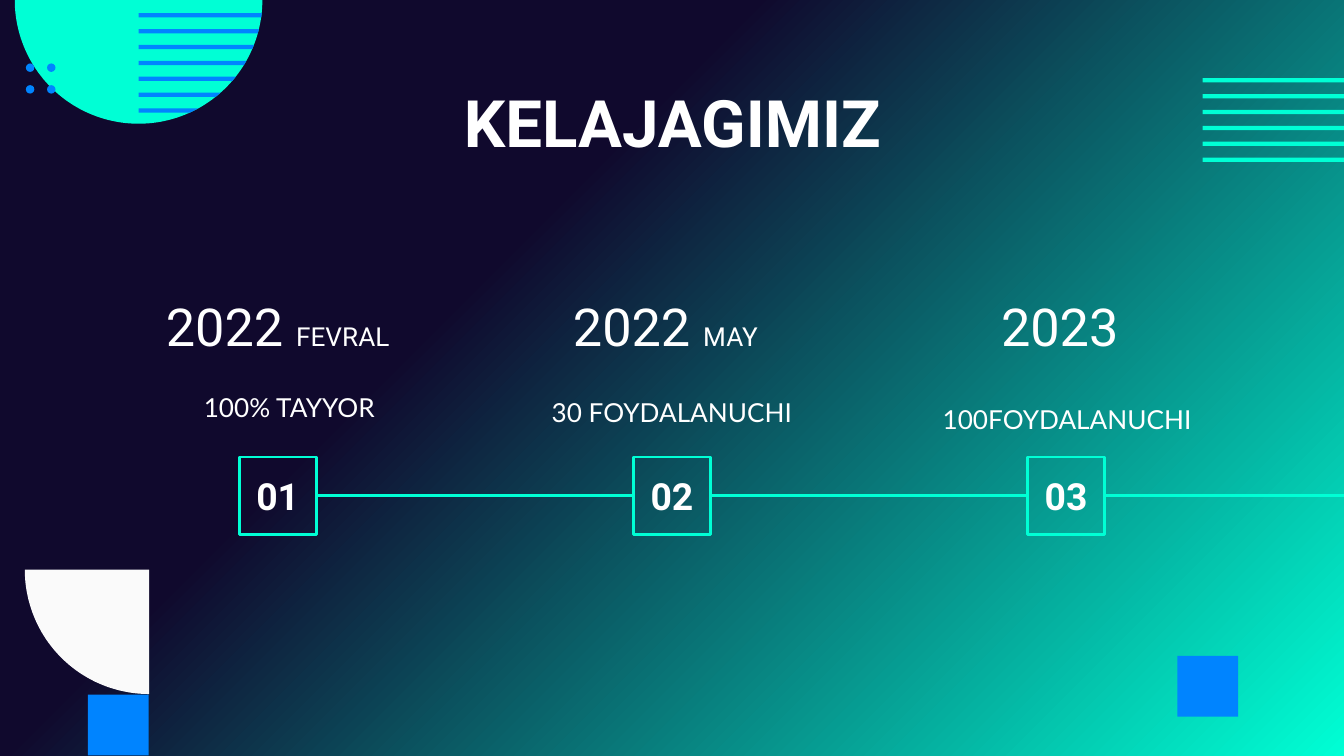
from copy import deepcopy
from dataclasses import dataclass
from math import cos, radians, sin, sqrt

from lxml.etree import SubElement
from pptx import Presentation
from pptx.dml.color import RGBColor
from pptx.enum.shapes import MSO_CONNECTOR, MSO_SHAPE
from pptx.enum.text import MSO_ANCHOR, PP_ALIGN
from pptx.oxml.ns import qn
from pptx.util import Cm, Pt

NAVY, MINT, BLUE = "10092D", "00FFD5", "0084FF"
WHITE, OFF_WHITE = "FFFFFF", "FAFAFA"
INSET = 0.25


@dataclass
class TextRun:
    text: str
    size: int


@dataclass
class Milestone:
    number: str
    date: list[TextRun]
    caption: str
    caption_box: tuple[float, float, float, float]


MILESTONES = [
    Milestone("01", [TextRun("2022 ", 28), TextRun("FEVRAL", 14)],
              "100% TAYYOR", (1.98, 7.14, 6.98, 1.98)),
    Milestone("02", [TextRun("2022 ", 28), TextRun("MAY", 14), TextRun(" ", 28)],
              "30 FOYDALANUCHI", (9.45, 7.24, 6.5, 1.98)),
    Milestone("03", [TextRun("2023 ", 28)],
              "100FOYDALANUCHI", (16.92, 7.37, 6.5, 1.5)),
]


def color(value: str) -> RGBColor:
    return RGBColor.from_string(value)


def paint(shape, fill: str) -> None:
    shape.shadow.inherit = False
    shape.fill.solid()
    shape.fill.fore_color.rgb = color(fill)
    shape.line.fill.background()


def add_solid(slide, kind, left: float, top: float, width: float, height: float, fill: str) -> None:
    paint(slide.shapes.add_shape(kind, Cm(left), Cm(top), Cm(width), Cm(height)), fill)


def add_polygon(slide, points: list[tuple[float, float]], fill: str) -> None:
    corners = [(Cm(x), Cm(y)) for x, y in points]
    builder = slide.shapes.build_freeform(*corners[0])
    builder.add_line_segments(corners[1:], close=True)
    paint(builder.convert_to_shape(), fill)


def add_sector(slide, x: float, y: float, radius: float, start: int, end: int, fill: str) -> None:
    """Draw a circle sector; angles run clockwise from the right."""
    arc = [(x + radius * cos(radians(angle)), y + radius * sin(radians(angle)))
           for angle in range(start, end + 1, 2)]
    add_polygon(slide, [(x, y)] + arc, fill)


def write_text(shape, runs: list[TextRun], font: str, bold: bool = False,
               anchor=MSO_ANCHOR.MIDDLE) -> None:
    frame = shape.text_frame
    frame.word_wrap = True
    frame.vertical_anchor = anchor
    frame.margin_left = frame.margin_right = Cm(INSET)
    frame.margin_top = frame.margin_bottom = Cm(INSET)
    paragraph = frame.paragraphs[0]
    paragraph.alignment = PP_ALIGN.CENTER
    paragraph.font.name = font
    paragraph.font.bold = bold
    paragraph.font.color.rgb = color(WHITE)
    for item in runs:
        run = paragraph.add_run()
        run.text = item.text
        run.font.size = Pt(item.size)


def add_text(slide, box: tuple[float, float, float, float], runs: list[TextRun],
             font: str, bold: bool = False, anchor=MSO_ANCHOR.MIDDLE) -> None:
    text_box = slide.shapes.add_textbox(*(Cm(length) for length in box))
    write_text(text_box, runs, font, bold, anchor)


def add_line(slide, start: float, end: float, y: float) -> None:
    line = slide.shapes.add_connector(MSO_CONNECTOR.STRAIGHT, Cm(start), Cm(y), Cm(end), Cm(y))
    line.line.color.rgb = color(MINT)
    line.line.width = Pt(1.5)
    SubElement(line.element.spPr, qn("a:effectLst"))


def fill_background(slide) -> None:
    fill = slide.background.fill
    fill.gradient()
    fill.gradient_angle = 315
    stop_list = slide.element.find(".//" + qn("a:gsLst"))
    stop_list.insert(1, deepcopy(stop_list[0]))
    for stop, position, value in zip(fill.gradient_stops, (0, 0.36, 1), (NAVY, NAVY, MINT)):
        stop.position = position
        stop.color.rgb = color(value)


def add_decoration(slide) -> None:
    stripe_height, stripe_pitch = 0.08, 0.3

    # Squares and quarter disc
    for left, top in ((22.25, 12.4), (1.66, 13.13)):
        add_solid(slide, MSO_SHAPE.RECTANGLE, left, top, 1.15, 1.15, BLUE)
    add_sector(slide, 2.82, 10.77, 2.35, 90, 180, OFF_WHITE)

    # Stripes at the right edge
    for index in range(6):
        add_solid(slide, MSO_SHAPE.RECTANGLE, 22.73, 1.48 + index * stripe_pitch,
                  6.5, stripe_height, MINT)

    # Half disc with stripes cut along its rim
    center, radius = 2.62, 2.34
    add_sector(slide, center, 0, radius, 0, 180, MINT)
    for index in range(7):
        top = 0.25 + index * stripe_pitch
        bottom = top + stripe_height
        rim_top, rim_bottom = (center + sqrt(radius ** 2 - y ** 2) for y in (top, bottom))
        add_polygon(slide, [(center, top), (rim_top, top),
                            (rim_bottom, bottom), (center, bottom)], BLUE)

    # Dots
    for column in range(2):
        for row in range(2):
            add_solid(slide, MSO_SHAPE.OVAL, 0.49 + column * 0.4, 1.2 + row * 0.41,
                      0.16, 0.16, BLUE)


def add_timeline(slide) -> None:
    first_center, pitch, side, axis = 5.25, 7.45, 1.46, 9.37
    line_end = 25.76
    for index, milestone in enumerate(MILESTONES):
        center = first_center + index * pitch
        left, right = center - side / 2, center + side / 2

        # Numbered box and the line that follows it
        box = slide.shapes.add_shape(MSO_SHAPE.RECTANGLE, Cm(left), Cm(axis - side / 2),
                                     Cm(side), Cm(side))
        box.shadow.inherit = False
        box.fill.background()
        box.line.color.rgb = color(MINT)
        box.line.width = Pt(1.5)
        write_text(box, [TextRun(milestone.number, 20)], "Roboto", bold=True)
        is_last = index == len(MILESTONES) - 1
        add_line(slide, right, line_end if is_last else left + pitch, axis)

        # Date and caption
        add_text(slide, (center - 3.25, 5.41, 6.5, 1.48), milestone.date, "Roboto")
        add_text(slide, milestone.caption_box, [TextRun(milestone.caption, 14)], "Lato",
                 anchor=MSO_ANCHOR.TOP)


def main() -> None:
    presentation = Presentation()
    presentation.slide_width, presentation.slide_height = Cm(25.4), Cm(14.29)
    slide = presentation.slides.add_slide(presentation.slide_layouts[6])
    fill_background(slide)
    add_decoration(slide)
    add_timeline(slide)
    add_text(slide, (2.01, 1.5, 21.4, 1.6), [TextRun("KELAJAGIMIZ", 35)], "Roboto", bold=True)
    presentation.save("out.pptx")


if __name__ == "__main__":
    main()
